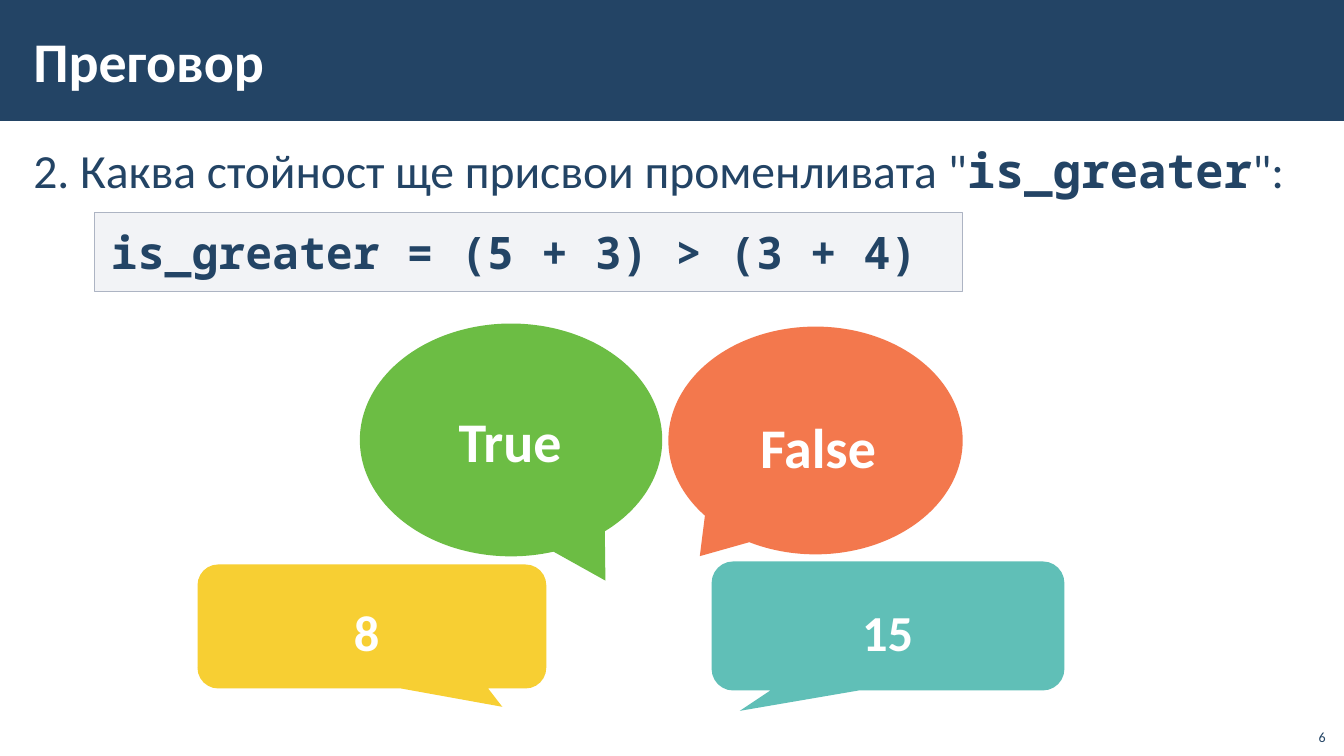
import lxml.etree
import pptx
import pptx.dml.color
import pptx.enum.shapes
import pptx.enum.text
import pptx.oxml.ns
import pptx.util

THEME = {
    "navy": "234465", "white": "FFFFFF", "code_box": "ADB4C3",
    "yellow": "F5C300", "green": "6CBD44", "orange": "F15721", "teal": "60BFB7",
    "font": "Calibri", "code_font": "Noto Sans Mono",
    "title": 40, "question": 34, "code": 32, "word": 40, "number": 36, "page": 10,
}
SHAPE = pptx.enum.shapes.MSO_SHAPE
ANCHOR = pptx.enum.text.MSO_ANCHOR
LEFT, CENTER, RIGHT = (pptx.enum.text.PP_ALIGN[name] for name in ("LEFT", "CENTER", "RIGHT"))
NARROW, WIDE = (0.12, 0.04), (0.16, 0.12)  # side and top insets, inches

presentation = pptx.Presentation()
presentation.slide_width = pptx.util.Inches(13.333)
presentation.slide_height = pptx.util.Inches(7.5)
slide = presentation.slides.add_slide(presentation.slide_layouts[6])
COLUMN = presentation.slide_width / 100
ROW = presentation.slide_height / 100


def add_box(shapes, kind, area, color, opacity=100):
    """Add a filled shape; area is left, top, width, height in percent of the slide."""
    left, top, width, height = area
    shape = shapes.add_shape(kind, int(left * COLUMN), int(top * ROW),
                             int(width * COLUMN), int(height * ROW))
    shape.shadow.inherit = False
    shape.line.fill.background()
    shape.fill.solid()
    shape.fill.fore_color.rgb = pptx.dml.color.RGBColor.from_string(THEME[color])
    if opacity < 100:
        color_element = shape._element.spPr.find(".//" + pptx.oxml.ns.qn("a:srgbClr"))
        lxml.etree.SubElement(color_element, pptx.oxml.ns.qn("a:alpha"), val=str(opacity * 1000))
    return shape


def add_text(shapes, area, text, size, color="white", bold=True, font="font",
             align=LEFT, anchor=ANCHOR.TOP, insets=WIDE, spacing=1.0):
    """Add a one-paragraph text box; area is in percent of the slide."""
    left, top, width, height = area
    frame = shapes.add_textbox(int(left * COLUMN), int(top * ROW),
                               int(width * COLUMN), int(height * ROW)).text_frame
    frame.word_wrap = True
    frame.vertical_anchor = anchor
    frame.margin_left = frame.margin_right = pptx.util.Inches(insets[0])
    frame.margin_top = frame.margin_bottom = pptx.util.Inches(insets[1])
    paragraph = frame.paragraphs[0]
    paragraph.text = text
    paragraph.alignment = align
    paragraph.line_spacing = spacing
    paragraph.font.size = pptx.util.Pt(THEME[size])
    paragraph.font.name = THEME[font]
    paragraph.font.bold = bold
    paragraph.font.color.rgb = pptx.dml.color.RGBColor.from_string(THEME[color])
    return paragraph


# Header
add_box(slide.shapes, SHAPE.RECTANGLE, (0, 0, 100, 16), "navy")
add_text(slide.shapes, (1.58, 1.47, 79.73, 12.93), "Преговор", "title",
         anchor=ANCHOR.MIDDLE, insets=NARROW)

# Question
question = add_text(slide.shapes, (1.58, 17.73, 96.83, 75.6),
                    "2. Каква стойност ще присвои променливата \"", "question",
                    color="navy", bold=False, insets=NARROW, spacing=1.05)
variable = question.add_run()
variable.text = "is_greater"
variable.font.name = THEME["code_font"]
variable.font.bold = True
question.add_run().text = "\":"
for run in question.runs:
    run.font.size = question.font.size
    run.font.color.rgb = question.font.color.rgb

# Code
code_area = (7.05, 28.13, 64.58, 10.4)
code_box = add_box(slide.shapes, SHAPE.RECTANGLE, code_area, "code_box", opacity=15)
code_box.line.color.rgb = pptx.dml.color.RGBColor.from_string(THEME["code_box"])
code_box.line.width = pptx.util.Pt(1)
add_text(slide.shapes, code_area, "is_greater = (5 + 3) > (3 + 4)", "code",
         color="navy", font="code_font")

# Answers: callout, its area, pointer, colour, opacity, then label area and style
ROUNDED, OVAL = SHAPE.ROUNDED_RECTANGULAR_CALLOUT, SHAPE.OVAL_CALLOUT
answers = [
    (ROUNDED, (14.7, 74.67, 25.95, 16.4), (0.374, 0.648), "yellow", 80,
     "8", (17.33, 77.07, 19.88, 11.6), "number", CENTER, 1.1),
    (OVAL, (26.78, 42.8, 22.5, 30.8), (0.312, 0.604), "green", 100,
     "True", (29.33, 52.13, 17.25, 12.13), "word", CENTER, 1.0),
    (OVAL, (49.73, 43.2, 21.9, 30.13), (-0.393, 0.508), "orange", 80,
     "False", (55.35, 52.13, 12.83, 12.53), "word", LEFT, 1.1),
    (ROUNDED, (52.95, 74.27, 26.25, 17.07), (-0.42, 0.658), "teal", 100,
     "15", (54.83, 77.07, 22.43, 11.6), "number", CENTER, 1.1),
]
for kind, area, pointer, color, opacity, label, label_area, size, align, spacing in answers:
    group = slide.shapes.add_group_shape()
    callout = add_box(group.shapes, kind, area, color, opacity)
    callout.adjustments[0], callout.adjustments[1] = pointer
    add_text(group.shapes, label_area, label, size, align=align, spacing=spacing)

# Page number
add_text(slide.shapes, (96.38, 94.93, 3, 4.27), "6", "page", color="navy", bold=False,
         align=RIGHT, anchor=ANCHOR.BOTTOM, insets=(0.1, 0.05))

presentation.save("out.pptx")
